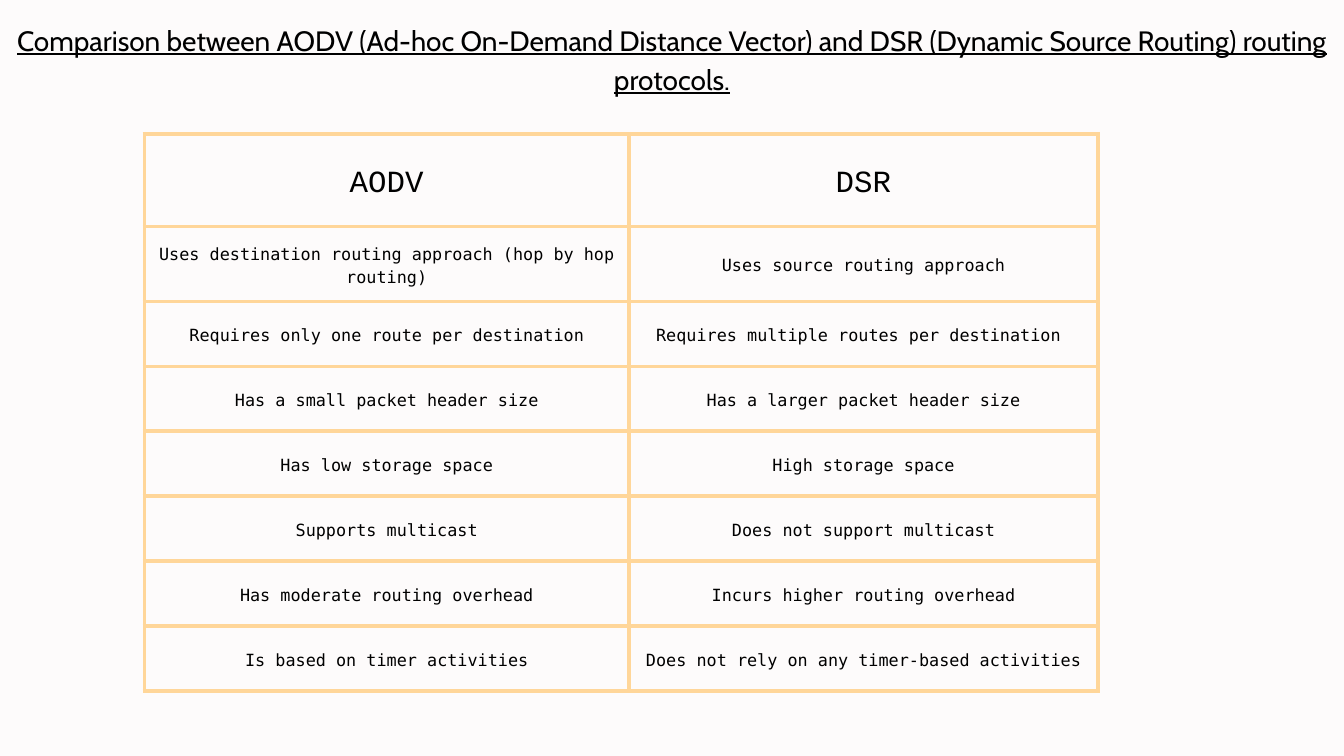
from pptx import Presentation
from pptx.dml.color import RGBColor
from pptx.enum.text import MSO_ANCHOR as Anchor, PP_ALIGN as Align
from pptx.oxml import parse_xml
from pptx.oxml.ns import nsdecls
from pptx.util import Pt

BACKGROUND = RGBColor(0xFD, 0xFB, 0xFB)
BORDER = RGBColor(0xFF, 0xD6, 0x99)
BLACK = RGBColor(0, 0, 0)

TITLE = ("Comparison between AODV (Ad-hoc On-Demand Distance Vector) and "
         "DSR (Dynamic Source Routing) routing protocols.")
COMPARISON = [
    ("AODV", "DSR"),
    ("Uses destination routing approach (hop by hop routing)",
     "Uses source routing approach"),
    ("Requires only one route per destination",
     "Requires multiple routes per destination "),
    ("Has a small packet header size", "Has a larger packet header size"),
    ("Has low storage space", "High storage space"),
    ("Supports multicast", "Does not support multicast"),
    ("Has moderate routing overhead", "Incurs higher routing overhead"),
    ("Is based on timer activities",
     "Does not rely on any timer-based activities"),
]
COLUMN_SHARES = (0.508, 0.492)
HEADER_HEIGHT = 99.4
CELL_MARGIN = 15
LINE_SPACING = 1.4  # line height relative to the font size


def write(frame, text, font_name, size, underline=False):
    paragraph = frame.paragraphs[0]
    paragraph.alignment = Align.CENTER
    paragraph.line_spacing = Pt(size * LINE_SPACING)
    run = paragraph.add_run()
    run.text = text
    font = run.font
    font.name, font.size, font.underline = font_name, Pt(size), underline
    font.color.rgb = BLACK


def add_title(slide, left, top, width, height):
    title = slide.shapes.add_textbox(Pt(left), Pt(top), Pt(width), Pt(height))
    frame = title.text_frame
    frame.word_wrap = True
    frame.margin_left = frame.margin_right = 0
    frame.margin_top = frame.margin_bottom = 0
    write(frame, TITLE, "Cabin", 30, underline=True)


def outline(cell, width):
    properties = cell._tc.get_or_add_tcPr()
    # Borders come before the fill in the cell properties
    for index, side in enumerate(("lnL", "lnR", "lnT", "lnB")):
        properties.insert(index, parse_xml(
            f'<a:{side} {nsdecls("a")} w="{Pt(width)}"><a:solidFill>'
            f'<a:srgbClr val="{BORDER}"/></a:solidFill></a:{side}>'))


def add_comparison(slide, left, top, width, height):
    table = slide.shapes.add_table(
        len(COMPARISON), len(COLUMN_SHARES),
        Pt(left), Pt(top), Pt(width), Pt(height)).table
    table.first_row = table.horz_banding = False

    # Column and row sizes
    for column, share in zip(table.columns, COLUMN_SHARES):
        column.width = Pt(width * share)
    body_height = (height - HEADER_HEIGHT) / (len(COMPARISON) - 1)
    for index, row in enumerate(table.rows):
        row.height = Pt(body_height if index else HEADER_HEIGHT)

    # Cells
    for row_index, texts in enumerate(COMPARISON):
        font_name, size = (("DejaVu Sans Mono", 18) if row_index
                           else ("Courier New", 33))
        for column_index, text in enumerate(texts):
            cell = table.cell(row_index, column_index)
            cell.fill.background()
            cell.vertical_anchor = Anchor.MIDDLE
            cell.margin_left = cell.margin_right = Pt(CELL_MARGIN)
            cell.margin_top = cell.margin_bottom = Pt(CELL_MARGIN)
            write(cell.text_frame, text, font_name, size)
            outline(cell, 4.5)


def main():
    deck = Presentation()
    deck.slide_width, deck.slide_height = Pt(1440), Pt(810)
    slide = deck.slides.add_slide(deck.slide_layouts[6])
    fill = slide.background.fill
    fill.solid()
    fill.fore_color.rgb = BACKGROUND

    add_comparison(slide, 154.8, 143.3, 1021.7, 586.1)
    add_title(slide, 0, 18.7, 1440, 124.6)
    deck.save("out.pptx")


if __name__ == "__main__":
    main()
